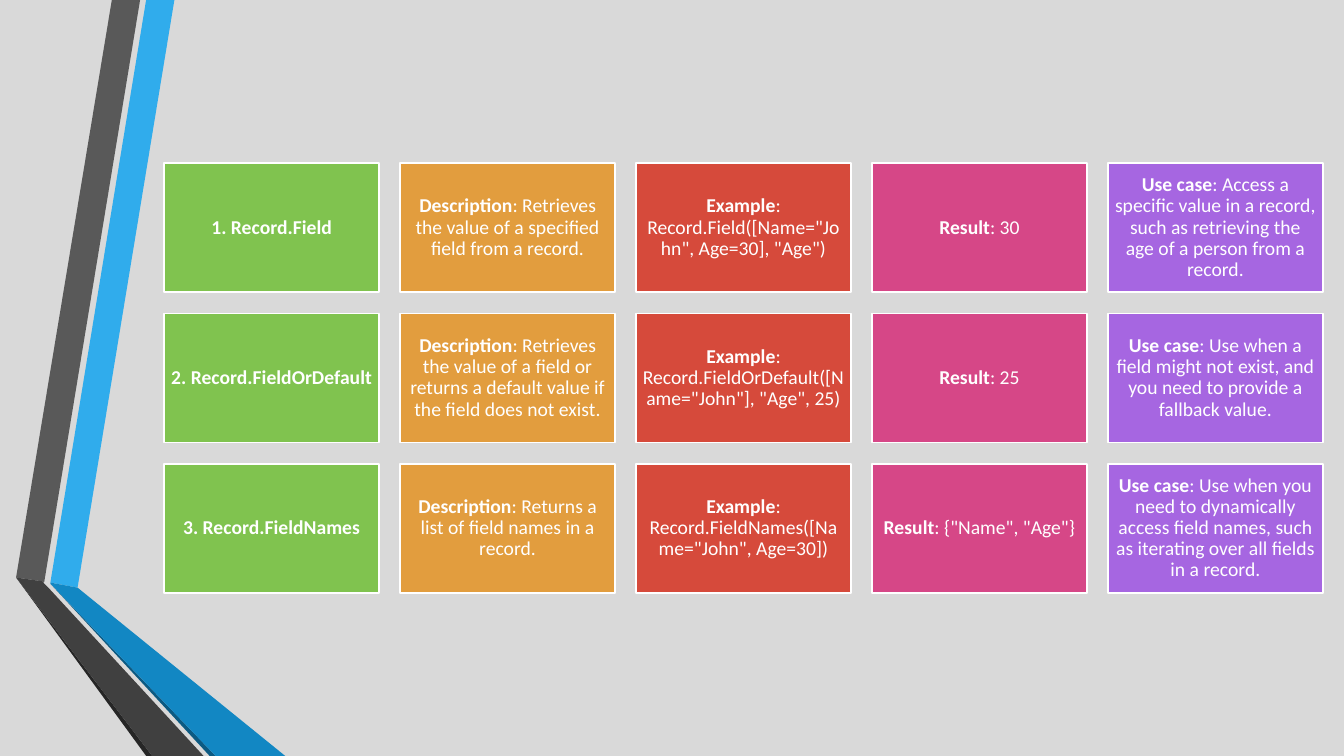
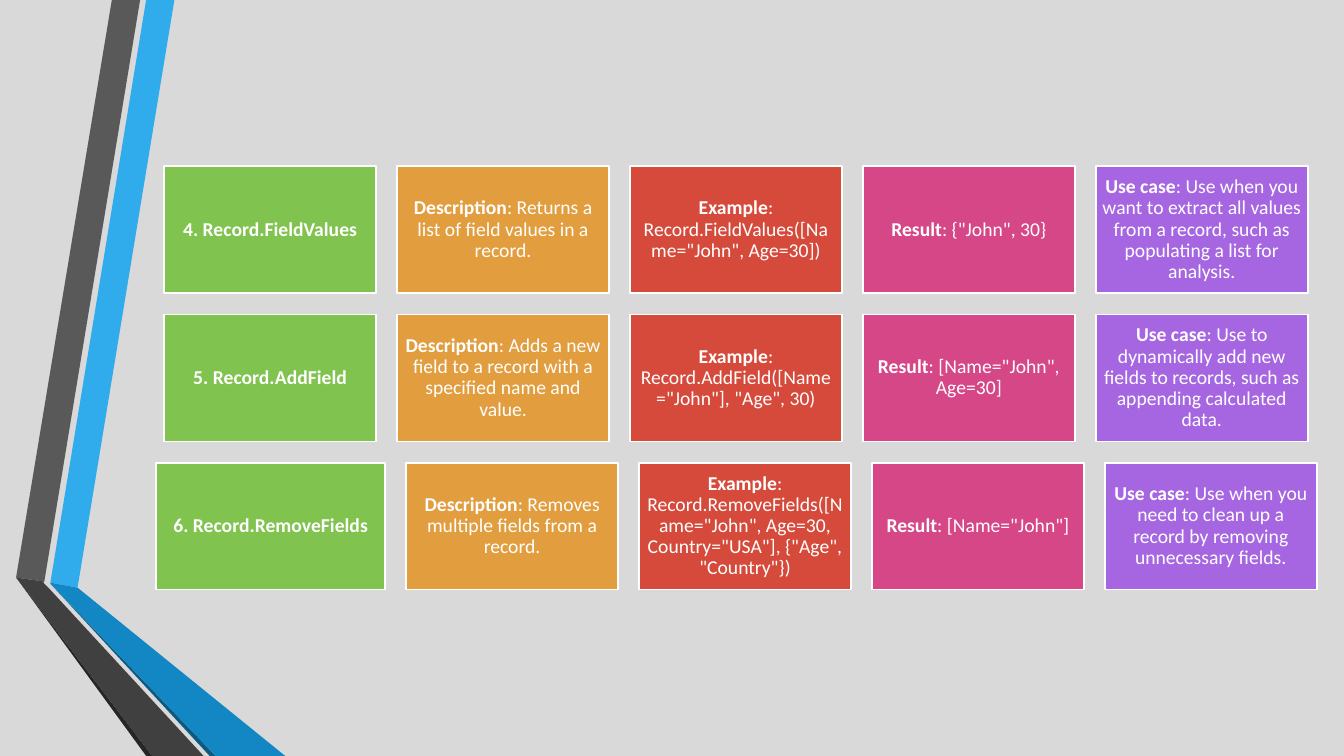
from pptx import Presentation
from pptx import util as u
from pptx.dml.color import RGBColor
from pptx.enum import shapes, text

PX = 9144
COLORS = {
    "background": "D9D9D9", "white": "FFFFFF",
    "sky": "30ACEC", "blue": "1287C3", "navy": "0C5A82",
    "gray": "595959", "charcoal": "404040", "black": "262626",
    "green": "80C34F", "orange": "E29D3E", "red": "D64A3B",
    "pink": "D64787", "purple": "A666E1",
}
RIBBONS = [
    ("sky", [(50, 578), (77, 583), (173, 0), (145, 0)]),
    ("gray", [(139, 0), (111, 0), (16, 573), (44, 577)]),
    ("black", [(16, 573), (145, 750), (151, 750)]),
    ("navy", [(50, 579), (208, 750), (214, 750)]),
    ("blue", [(50, 579), (214, 750), (283, 750), (77, 583), (50, 578)]),
    ("charcoal", [(202, 750), (48, 583), (43, 578), (44, 577), (16, 573), (151, 750)]),
]
COLUMNS = [("", "green"), ("Description", "orange"), ("Example", "red"),
           ("Result", "pink"), ("Use case", "purple")]
GAP = 21
MIDDLE = 375

FIELD_FUNCTIONS = [
    ("1. Record.Field",
     "Retrieves the value of a specified field from a record.",
     'Record.Field([Name="John", Age=30], "Age")',
     "30",
     "Access a specific value in a record, such as retrieving the age of a person "
     "from a record."),
    ("2. Record.FieldOrDefault",
     "Retrieves the value of a field or returns a default value if the field does "
     "not exist.",
     'Record.FieldOrDefault([Name="John"], "Age", 25)',
     "25",
     "Use when a field might not exist, and you need to provide a fallback value."),
    ("3. Record.FieldNames",
     "Returns a list of field names in a record.",
     'Record.FieldNames([Name="John", Age=30])',
     '{"Name", "Age"}',
     "Use when you need to dynamically access field names, such as iterating over "
     "all fields in a record."),
]
EDIT_FUNCTIONS = [
    ("4. Record.FieldValues",
     "Returns a list of field values in a record.",
     'Record.FieldValues([Name="John", Age=30])',
     '{"John", 30}',
     "Use when you want to extract all values from a record, such as populating a "
     "list for analysis."),
    ("5. Record.AddField",
     "Adds a new field to a record with a specified name and value.",
     'Record.AddField([Name="John"], "Age", 30)',
     '[Name="John", Age=30]',
     "Use to dynamically add new fields to records, such as appending calculated "
     "data."),
    ("6. Record.RemoveFields",
     "Removes multiple fields from a record.",
     'Record.RemoveFields([Name="John", Age=30, Country="USA"], {"Age", "Country"})',
     '[Name="John"]',
     "Use when you need to clean up a record by removing unnecessary fields."),
]


def rgb(name):
    return RGBColor.from_string(COLORS[name])


def write(para, content, *, size=14, bold=False, color="white", font="Calibri"):
    span = para.add_run()
    span.text = content
    span.font.name = font
    span.font.size = u.Pt(size)
    span.font.bold = bold
    span.font.color.rgb = rgb(color)


class RecordDeck:
    """Holds the deck style and the slide being built."""

    def __init__(self):
        self.deck = Presentation()
        self.deck.slide_width = u.Inches(13.33)
        self.deck.slide_height = u.Inches(7.5)
        backdrop = self.deck.slide_master.background.fill
        backdrop.solid()
        backdrop.fore_color.rgb = rgb("background")
        self.page = None

    def add_page(self):
        self.page = self.deck.slides.add_slide(self.deck.slide_layouts[6])
        for color, points in RIBBONS:
            self.ribbon(color, points)

    def paint(self, shape, color):
        shape.shadow.inherit = False
        shape.fill.solid()
        shape.fill.fore_color.rgb = rgb(color)

    def ribbon(self, color, points):
        outline = self.page.shapes.build_freeform(*points[0], scale=PX)
        outline.add_line_segments(points[1:], close=True)
        shape = outline.convert_to_shape()
        self.paint(shape, color)
        shape.line.fill.background()

    def card(self, left, top, width, height, color, label, content):
        box = self.page.shapes.add_shape(
            shapes.MSO_SHAPE.RECTANGLE, *(PX * n for n in (left, top, width, height)))
        self.paint(box, color)
        box.line.color.rgb = rgb("white")
        box.line.width = u.Pt(1.25)
        frame = box.text_frame
        frame.word_wrap = True
        frame.vertical_anchor = text.MSO_ANCHOR.MIDDLE
        frame.margin_left = frame.margin_right = 6 * PX
        frame.margin_top = frame.margin_bottom = 6 * PX
        para = frame.paragraphs[0]
        para.alignment = text.PP_ALIGN.CENTER
        para.line_spacing = 0.9
        if label:
            write(para, label, bold=True)
            write(para, f": {content}")
        else:
            write(para, content, bold=True)

    def card_row(self, top, center, widths, height, contents):
        left = center - (sum(widths) + GAP * (len(widths) - 1)) // 2
        for (label, color), width, content in zip(COLUMNS, widths, contents):
            self.card(left, top, width, height, color, label, content)
            left += width + GAP

    def card_grid(self, functions, center, width, height, wide_names=None):
        top = MIDDLE - (len(functions) * (height + GAP) - GAP) // 2
        for row, contents in enumerate(functions):
            name_width = (wide_names or {}).get(row, width)
            widths = [name_width] + [width] * (len(COLUMNS) - 1)
            self.card_row(top + row * (height + GAP), center, widths, height, contents)

    def save(self):
        self.deck.save("out.pptx")


def main():
    deck = RecordDeck()
    deck.add_page()
    deck.card_grid(FIELD_FUNCTIONS, center=737, width=213, height=128)
    deck.add_page()
    deck.card_grid(EDIT_FUNCTIONS, center=730, width=210, height=126, wide_names={2: 227})
    deck.save()


if __name__ == "__main__":
    main()
